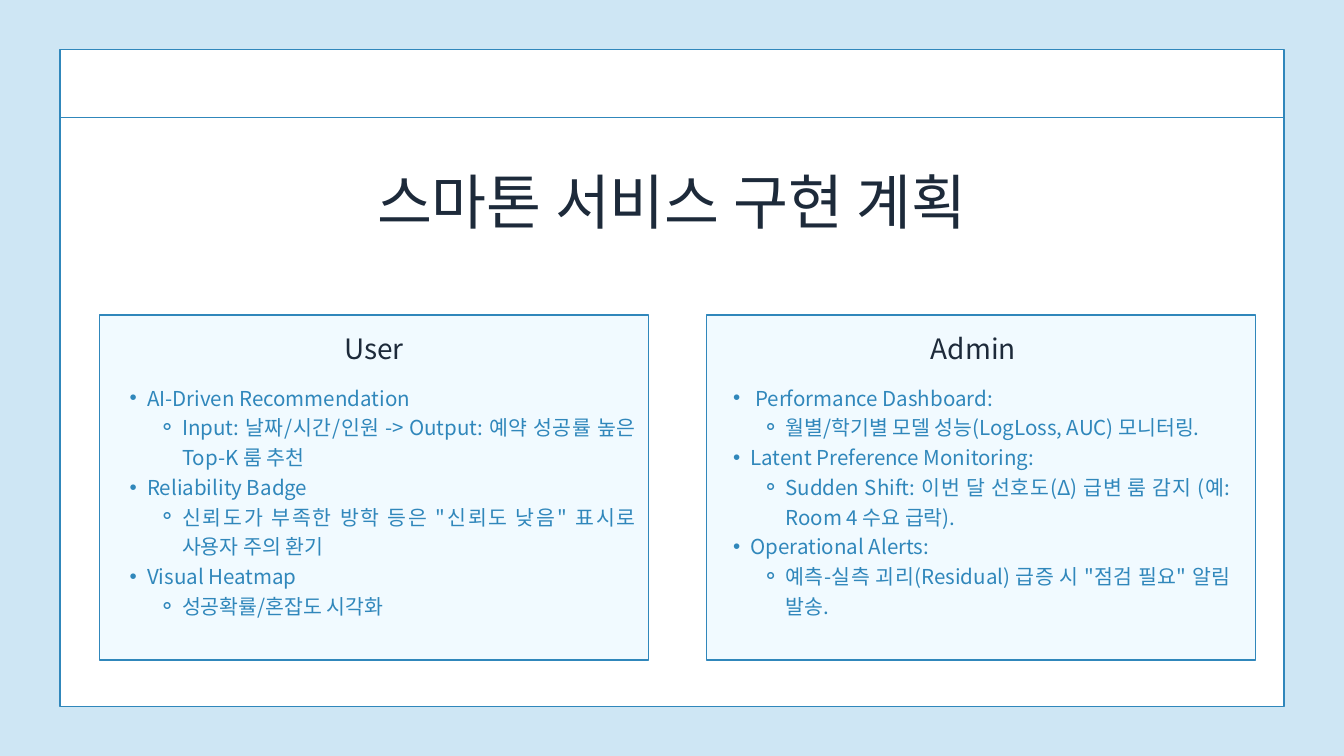
from lxml.etree import SubElement
from pptx import Presentation
from pptx.dml.color import RGBColor
from pptx.enum.shapes import MSO_CONNECTOR, MSO_SHAPE
from pptx.enum.text import MSO_ANCHOR, MSO_AUTO_SIZE, PP_ALIGN
from pptx.oxml.ns import qn
from pptx.util import Inches, Pt

SKY = RGBColor(0xCE, 0xE6, 0xF4)
WHITE = RGBColor(0xFF, 0xFF, 0xFF)
ICE = RGBColor(0xF1, 0xFA, 0xFF)
BLUE = RGBColor(0x30, 0x87, 0xBB)
NAVY = RGBColor(0x1D, 0x2A, 0x3A)

USER_PLAN = [
    ("AI-Driven Recommendation", "Input: 날짜/시간/인원 -> Output: 예약 성공률 높은 Top-K 룸 추천"),
    ("Reliability Badge", '신뢰도가 부족한 방학 등은 "신뢰도 낮음" 표시로 사용자 주의 환기'),
    ("Visual Heatmap", "성공확률/혼잡도 시각화"),
]
ADMIN_PLAN = [
    (" Performance Dashboard:", "월별/학기별 모델 성능(LogLoss, AUC) 모니터링."),
    ("Latent Preference Monitoring:", "Sudden Shift: 이번 달 선호도(Δ) 급변 룸 감지 (예: Room 4 수요 급락)."),
    ("Operational Alerts:", '예측-실측 괴리(Residual) 급증 시 "점검 필요" 알림 발송.'),
]


class PlanSlide:
    font_name = "Noto Sans CJK KR"
    line_width = Pt(1.5)
    bullets = {1: ("•", 0.52, 0.26), 2: ("⚬", 1.04, 0.35)}

    def __init__(self, deck):
        self.slide = deck.slides.add_slide(deck.slide_layouts.get_by_name("Comparison"))
        self.slide.background.fill.solid()
        self.slide.background.fill.fore_color.rgb = SKY
        self.holders = {
            holder.placeholder_format.idx: holder for holder in self.slide.placeholders
        }

    def panel(self, left, top, width, height, color):
        box = self.slide.shapes.add_shape(
            MSO_SHAPE.RECTANGLE, Inches(left), Inches(top), Inches(width), Inches(height)
        )
        box.shadow.inherit = False
        box.fill.solid()
        box.fill.fore_color.rgb = color
        box.line.color.rgb = BLUE
        box.line.width = self.line_width

    def rule(self, left, right, top):
        line = self.slide.shapes.add_connector(
            MSO_CONNECTOR.STRAIGHT, Inches(left), Inches(top), Inches(right), Inches(top)
        )
        line.line.color.rgb = BLUE
        line.line.width = self.line_width
        SubElement(line._element.spPr, qn("a:effectLst"))

    def place(self, index, left, top, width, height):
        holder = self.holders[index]
        self.slide.shapes._spTree.append(holder._element)
        holder.left, holder.top = Inches(left), Inches(top)
        holder.width, holder.height = Inches(width), Inches(height)
        frame = holder.text_frame
        frame.margin_left = frame.margin_top = frame.margin_right = frame.margin_bottom = 0
        frame.word_wrap = True
        frame.auto_size = MSO_AUTO_SIZE.NONE
        frame.vertical_anchor = MSO_ANCHOR.TOP
        return frame

    def style(self, para, size, color, spacing, alignment):
        para.alignment = alignment
        para.line_spacing = Pt(spacing)
        para.space_before = para.space_after = Pt(0)
        for span in para.runs:
            span.font.size = Pt(size)
            span.font.bold = False
            span.font.color.rgb = color
            span.font.name = self.font_name
            SubElement(span._r.rPr, qn("a:ea"), typeface=self.font_name)

    def heading(self, index, text, bounds, size, spacing):
        frame = self.place(index, *bounds)
        frame.text = text
        self.style(frame.paragraphs[0], size, NAVY, spacing, PP_ALIGN.CENTER)

    def bullet(self, para, level):
        symbol, margin, hanging = self.bullets[level]
        para.level = level
        properties = para._p.get_or_add_pPr()
        properties.set("marL", str(Inches(margin)))
        properties.set("indent", str(-Inches(hanging)))
        SubElement(properties, qn("a:buFont"), typeface="Arial")
        SubElement(properties, qn("a:buChar"), char=symbol)

    def plan(self, index, items, bounds):
        frame = self.place(index, *bounds)
        lines = [(text, level) for item in items for level, text in enumerate(item, 1)]
        frame.text = "\n".join(text for text, level in lines)
        for para, (text, level) in zip(frame.paragraphs, lines):
            self.bullet(para, level)
            self.style(para, 22, BLUE, 31.9, PP_ALIGN.JUSTIFY)


def main():
    deck = Presentation()
    deck.slide_width, deck.slide_height = Inches(20), Inches(11.25)
    page = PlanSlide(deck)
    page.panel(0.89, 0.74, 18.22, 9.77, WHITE)
    page.rule(0.89, 19.11, 1.75)
    page.heading(0, "스마톤 서비스 구현 계획", (2.7, 2.27, 14.59, 1.19), 64, 89.6)
    columns = [
        (1, "User", USER_PLAN, 1.48, 3.2, 1.67, 7.79),
        (3, "Admin", ADMIN_PLAN, 10.51, 12.12, 10.65, 7.66),
    ]
    for index, name, items, panel_left, name_left, list_left, list_width in columns:
        page.panel(panel_left, 4.69, 8.17, 5.13, ICE)
        page.heading(index, name, (name_left, 4.93, 4.73, 0.49), 30, 36)
        page.plan(index + 1, items, (list_left, 5.66, list_width, 3.49))
    for index in (10, 11, 12):
        if index in page.holders:
            holder = page.holders[index]._element
            holder.getparent().remove(holder)
    deck.save("out.pptx")


if __name__ == "__main__":
    main()
